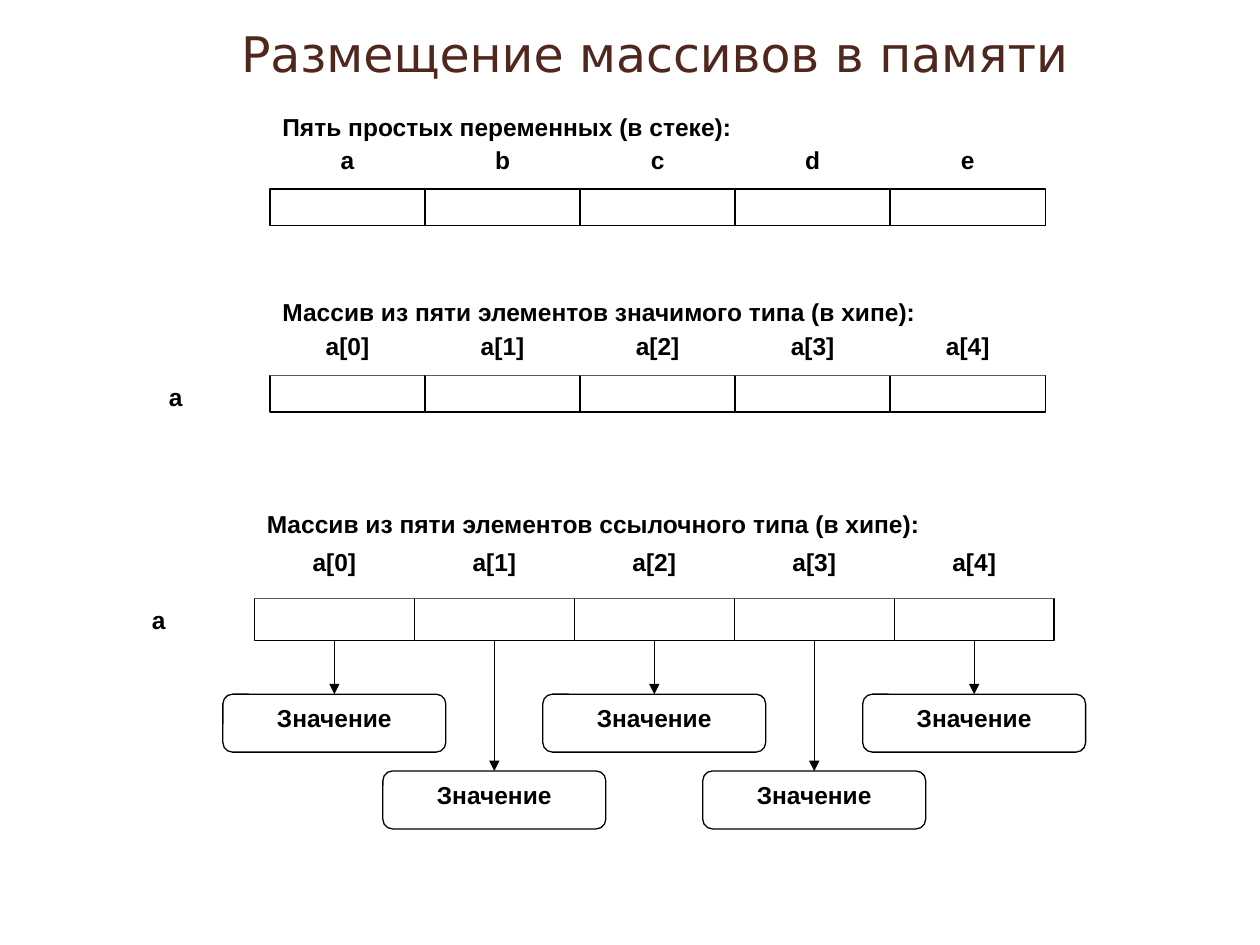
"""Draw how simple variables and arrays are laid out in memory."""
from typing import NamedTuple, Optional

from lxml.etree import SubElement
from pptx import Presentation
from pptx.dml.color import RGBColor
from pptx.enum.shapes import MSO_CONNECTOR as Connector, MSO_SHAPE as Shape
from pptx.enum.text import MSO_ANCHOR as Anchor, PP_ALIGN as Align
from pptx.oxml.ns import qn
from pptx.util import Pt

BLACK, WHITE, BROWN = "000000", "FFFFFF", "4F271C"
LINE_WIDTH = 0.75
VALUE_WIDTH, VALUE_HEIGHT = 127.4, 33.1
VALUE_TOPS = (396.7, 440.6)


class Area(NamedTuple):
    left: float
    top: float
    width: float
    height: float


class MemoryRow(NamedTuple):
    heading: str
    names: list[str]
    left: float
    cell_width: float
    cell_height: float
    heading_top: float
    label_top: float
    label_height: float
    cell_top: float
    variable: Optional[Area] = None
    has_references: bool = False


ELEMENTS = [f"a[{index}]" for index in range(5)]
ROWS = [
    MemoryRow("Пять простых переменных (в стеке):", list("abcde"),
              154.3, 88.6, 20.9, 60.5, 79.2, 20.9, 108),
    MemoryRow("Массив из пяти элементов значимого типа (в хипе):", ELEMENTS,
              154.3, 88.6, 20.9, 166.3, 185.8, 28.8, 214.6,
              Area(64.8, 214.6, 71.3, 20.9)),
    MemoryRow("Массив из пяти элементов ссылочного типа (в хипе):", ELEMENTS,
              145.4, 91.4, 24.2, 287.3, 308.9, 33.1, 342,
              Area(54, 342, 73.4, 24.2), True),
]


def color(value: str) -> RGBColor:
    return RGBColor.from_string(value)


def write(box, text: str, *, size: float = 14, font: str = "Arial", ink: str = BLACK,
          bold: bool = True, align=Align.CENTER, anchor=Anchor.TOP, side: float = 7.2) -> None:
    frame = box.text_frame
    frame.word_wrap = True
    frame.vertical_anchor = anchor
    frame.margin_left = frame.margin_right = Pt(side)
    frame.margin_top = frame.margin_bottom = Pt(3.6)
    para = frame.paragraphs[0]
    para.alignment = align
    span = para.add_run()
    span.text = text
    span.font.size = Pt(size)
    span.font.name = font
    span.font.bold = bold
    span.font.color.rgb = color(ink)


def add_box(page, area: Area, kind=Shape.RECTANGLE, outlined: bool = False):
    box = page.shapes.add_shape(kind, *map(Pt, area))
    box.shadow.inherit = False
    box.fill.solid()
    box.fill.fore_color.rgb = color(WHITE)
    if outlined:
        box.line.color.rgb = color(BLACK)
        box.line.width = Pt(LINE_WIDTH)
    else:
        box.line.fill.background()
    return box


def add_arrow(page, x: float, top: float, bottom: float) -> None:
    arrow = page.shapes.add_connector(Connector.STRAIGHT, Pt(x), Pt(top), Pt(x), Pt(bottom))
    arrow.line.color.rgb = color(BLACK)
    arrow.line.width = Pt(LINE_WIDTH)
    SubElement(arrow.line._get_or_add_ln(), qn("a:tailEnd"), type="triangle")
    SubElement(arrow._element.spPr, qn("a:effectLst"))


def add_reference(page, row: MemoryRow, index: int) -> None:
    center = row.left + (index + 0.5) * row.cell_width
    top = VALUE_TOPS[index % 2]
    area = Area(center - VALUE_WIDTH / 2, top, VALUE_WIDTH, VALUE_HEIGHT)
    write(add_box(page, area, Shape.ROUNDED_RECTANGLE, outlined=True), "Значение", side=1.44)
    add_arrow(page, center, row.cell_top + row.cell_height, top)


def add_row(page, row: MemoryRow) -> None:
    for index, name in enumerate(row.names):
        left = row.left + index * row.cell_width
        add_box(page, Area(left, row.cell_top, row.cell_width, row.cell_height), outlined=True)
        label = Area(left, row.label_top, row.cell_width, row.label_height)
        write(add_box(page, label), name)
    heading = Area(row.left, row.heading_top, row.cell_width * len(row.names), row.cell_height)
    write(add_box(page, heading), row.heading, align=Align.LEFT)
    if row.variable:
        write(add_box(page, row.variable), "a")
    if row.has_references:
        for index in range(len(row.names)):
            add_reference(page, row, index)


def main() -> None:
    deck = Presentation()
    deck.slide_width, deck.slide_height = Pt(720), Pt(540)
    page = deck.slides.add_slide(deck.slide_layouts[6])
    title = page.shapes.add_textbox(Pt(36.7), Pt(9.4), Pt(674.6), Pt(41))
    write(title, "Размещение массивов в памяти", size=28, font="DejaVu Sans",
          ink=BROWN, bold=False, anchor=Anchor.BOTTOM)
    for row in ROWS:
        add_row(page, row)
    deck.save("out.pptx")


if __name__ == "__main__":
    main()
